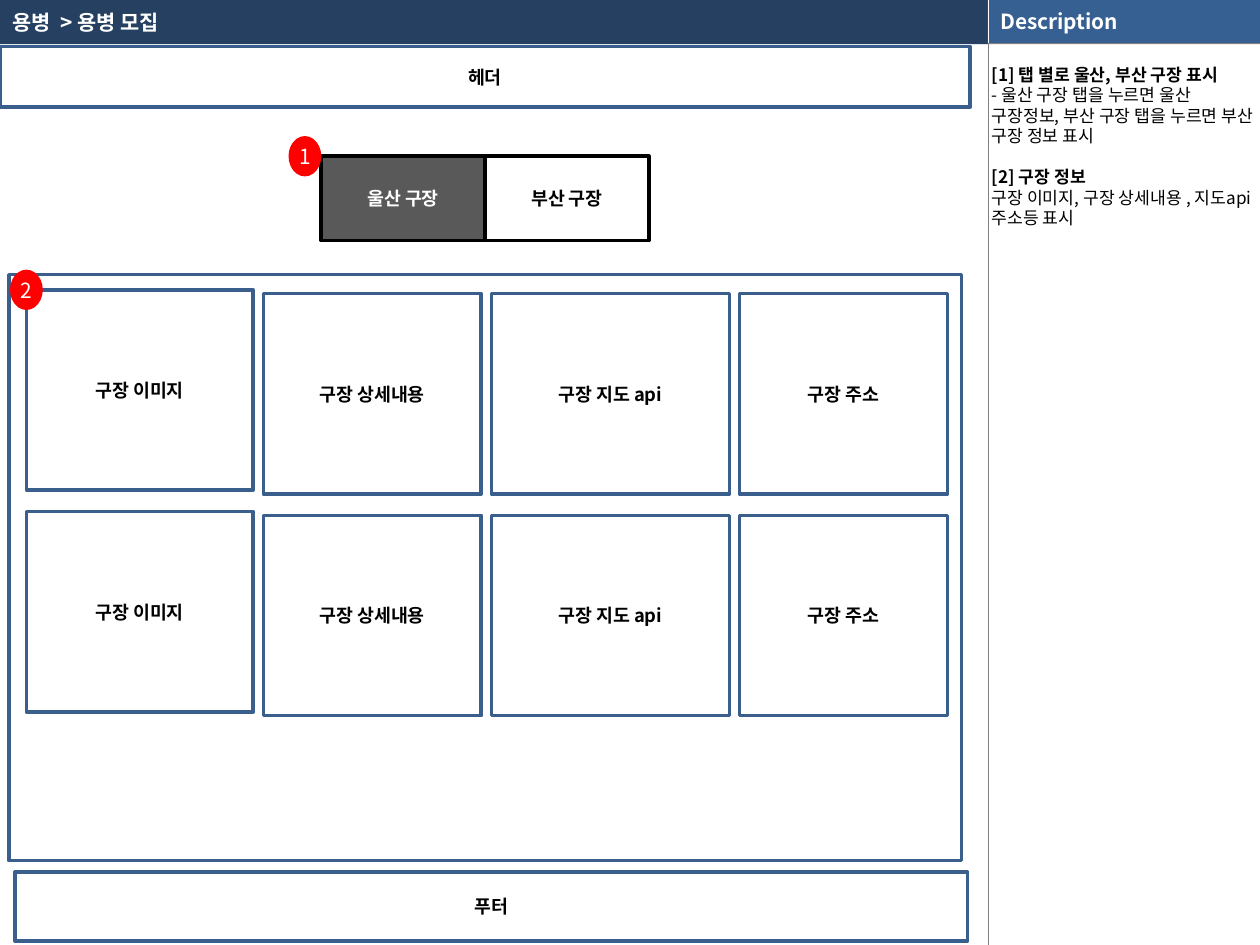
from dataclasses import dataclass

from lxml import etree
from pptx import Presentation
from pptx.dml.color import RGBColor
from pptx.enum.shapes import MSO_CONNECTOR, MSO_SHAPE
from pptx.enum.text import MSO_ANCHOR, MSO_AUTO_SIZE, PP_ALIGN
from pptx.oxml.ns import qn
from pptx.util import Inches, Pt

RECT, OVAL = MSO_SHAPE.RECTANGLE, MSO_SHAPE.OVAL
LINE = MSO_CONNECTOR.STRAIGHT
MID, TOP = MSO_ANCHOR.MIDDLE, MSO_ANCHOR.TOP
LEFT, CENTER = PP_ALIGN.LEFT, PP_ALIGN.CENTER
FIXED = MSO_AUTO_SIZE.NONE
FONT = "Noto Sans CJK KR"
WHITE, BLACK, BLUE, RED = "FFFFFF", "000000", "3A5F8C", "FF0000"
SPLIT, BAR = 7.84, 0.35


@dataclass
class Box:
    left: float
    top: float
    width: float
    height: float
    text: str = ""
    fill: str = WHITE
    line: str | None = BLUE
    color: str = BLACK
    size: float = 10.5
    bold: bool = True
    kind: int = RECT
    align: int = CENTER
    inset: float = 0.1


@dataclass
class Note:
    text: str
    bold: bool = False
    gap: float = 0


def paint(target, color: str) -> None:
    target.solid()
    target.fore_color.rgb = RGBColor.from_string(color)


def write(para, text: str, size: float, color: str, bold: bool) -> None:
    run = para.add_run()
    run.text = text
    font = run.font
    font.size, font.bold, font.name = Pt(size), bold, FONT
    paint(font.fill, color)
    east = etree.SubElement(run._r.get_or_add_rPr(), qn("a:ea"))
    east.set("typeface", FONT)


def draw_box(slide, box: Box) -> None:
    shape = slide.shapes.add_shape(
        box.kind, Inches(box.left), Inches(box.top), Inches(box.width), Inches(box.height)
    )
    shape.shadow.inherit = False
    paint(shape.fill, box.fill)
    if box.line:
        paint(shape.line.fill, box.line)
        shape.line.width = Pt(2)
    else:
        shape.line.fill.background()
    if box.text:
        frame = shape.text_frame
        frame.vertical_anchor = MID
        frame.word_wrap = box.kind != OVAL
        frame.margin_left = frame.margin_right = Inches(box.inset)
        frame.margin_top = frame.margin_bottom = 0
        para = frame.paragraphs[0]
        para.alignment = box.align
        write(para, box.text, box.size, box.color, box.bold)


def draw_rule(slide, top: float, end: float, color: str) -> None:
    rule = slide.shapes.add_connector(
        LINE, Inches(SPLIT), Inches(top), Inches(SPLIT), Inches(end)
    )
    paint(rule.line.fill, color)
    rule.line.width = Pt(0.25)
    etree.SubElement(rule._element.spPr, qn("a:effectLst"))


def place(holder, left: float, top: float, width: float, height: float):
    holder.left, holder.top = Inches(left), Inches(top)
    holder.width, holder.height = Inches(width), Inches(height)
    frame = holder.text_frame
    frame.word_wrap = True
    frame.auto_size = FIXED
    frame.margin_top = frame.margin_bottom = 0
    return frame


def fill_title(slide) -> None:
    title = slide.shapes.title
    frame = place(title, 0, 0, 7.62, BAR)
    frame.vertical_anchor = MID
    para = frame.paragraphs[0]
    para.alignment = LEFT
    write(para, "용병  > 용병 모집", 11.9, WHITE, True)
    title._element.getparent().append(title._element)


def fill_notes(slide, notes: list[Note]) -> None:
    frame = place(slide.placeholders[1], 7.83, BAR, 2.17, 7.15)
    frame.vertical_anchor = TOP
    frame.margin_left = frame.margin_right = Inches(0.04)
    frame.margin_top = Inches(0.16)
    for i, note in enumerate(notes):
        para = frame.add_paragraph() if i else frame.paragraphs[0]
        para.alignment = LEFT
        para.line_spacing = Pt(11.7)
        para.space_before = Pt(note.gap)
        props = para._p.get_or_add_pPr()
        props.set("marL", "0")
        props.set("indent", "0")
        etree.SubElement(props, qn("a:buNone"))
        write(para, note.text, 9.8, BLACK, note.bold)


def badge(left: float, top: float, text: str) -> Box:
    return Box(left, top, 0.26, 0.32, text, RED, None, WHITE, 11.9, False, OVAL, inset=0)


def main() -> None:
    deck = Presentation()
    deck.slide_width, deck.slide_height = Inches(10), Inches(7.5)
    slide = deck.slides.add_slide(deck.slide_layouts[1])

    side = 10 - SPLIT
    bars = [
        Box(0, 0, SPLIT, BAR, fill="254061", line=None),
        Box(SPLIT, 0, side, BAR, fill="808080", line=None),
        Box(SPLIT, 0, side, 0.34, "Description", "376092", None, WHITE, 11.9, align=LEFT),
    ]
    for bar in bars:
        draw_box(slide, bar)
    draw_rule(slide, 0, BAR, WHITE)
    draw_rule(slide, 0.34, 7.5, "7F7F7F")
    fill_title(slide)
    fill_notes(slide, [
        Note("[1] 탭 별로 울산, 부산 구장 표시", True),
        Note("- 울산 구장 탭을 누르면 울산 구장정보, 부산 구장 탭을 누르면 부산 구장 정보 표시"),
        Note("[2] 구장 정보", True, 11.7),
        Note("구장 이미지, 구장 상세내용 , 지도api 주소등 표시"),
    ])

    boxes = [
        Box(0, 0.37, 7.7, 0.48, "헤더"),
        Box(0.12, 6.92, 7.56, 0.55, "푸터"),
        Box(2.55, 1.24, 1.3, 0.67, "울산 구장", "595959", BLACK, WHITE),
        Box(3.85, 1.24, 1.3, 0.67, "부산 구장", line=BLACK),
        Box(0.07, 2.18, 7.56, 4.65),
    ]
    cards = [
        ("구장 이미지", 1.8, 0),
        ("구장 상세내용", 1.73, 0.03),
        ("구장 지도 api", 1.89, 0.03),
        ("구장 주소", 1.65, 0.03),
    ]
    for top in (2.3, 4.06):
        left = 0.21
        for text, width, drop in cards:
            boxes.append(Box(left, top + drop, width, 1.59, text))
            left += width + 0.08
    boxes += [badge(2.29, 1.08, "1"), badge(0.08, 2.14, "2")]
    for box in boxes:
        draw_box(slide, box)

    deck.save("out.pptx")


if __name__ == "__main__":
    main()
